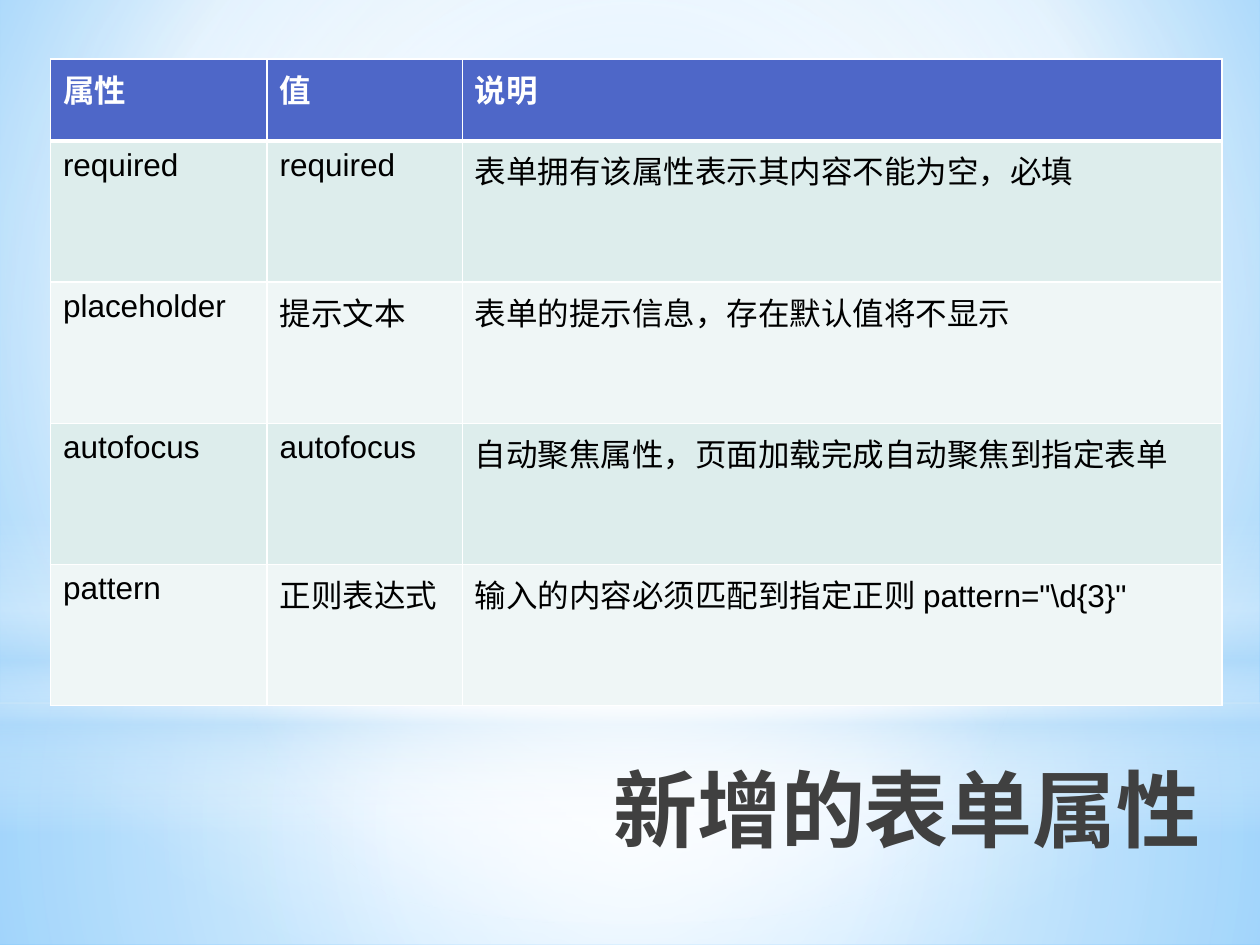
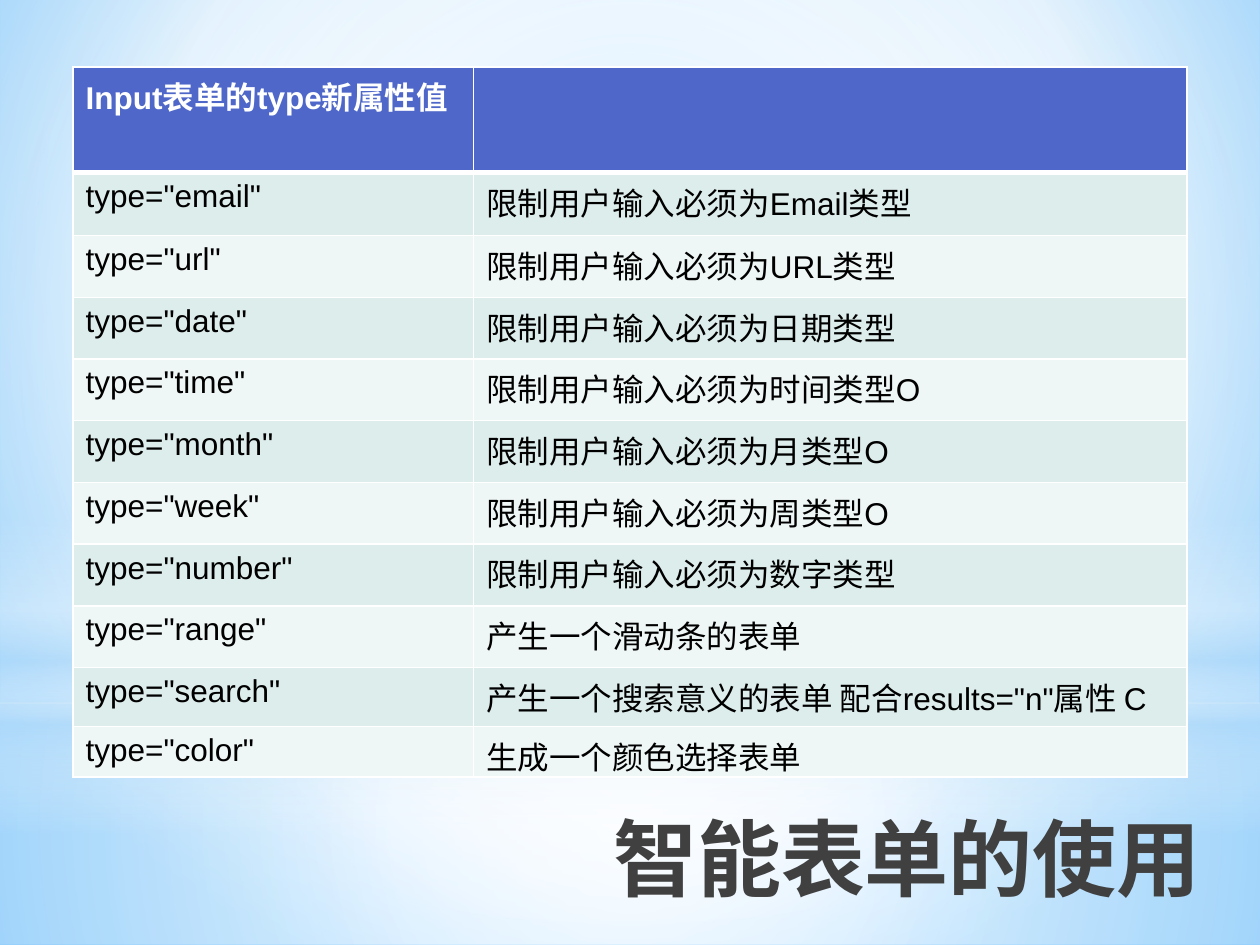
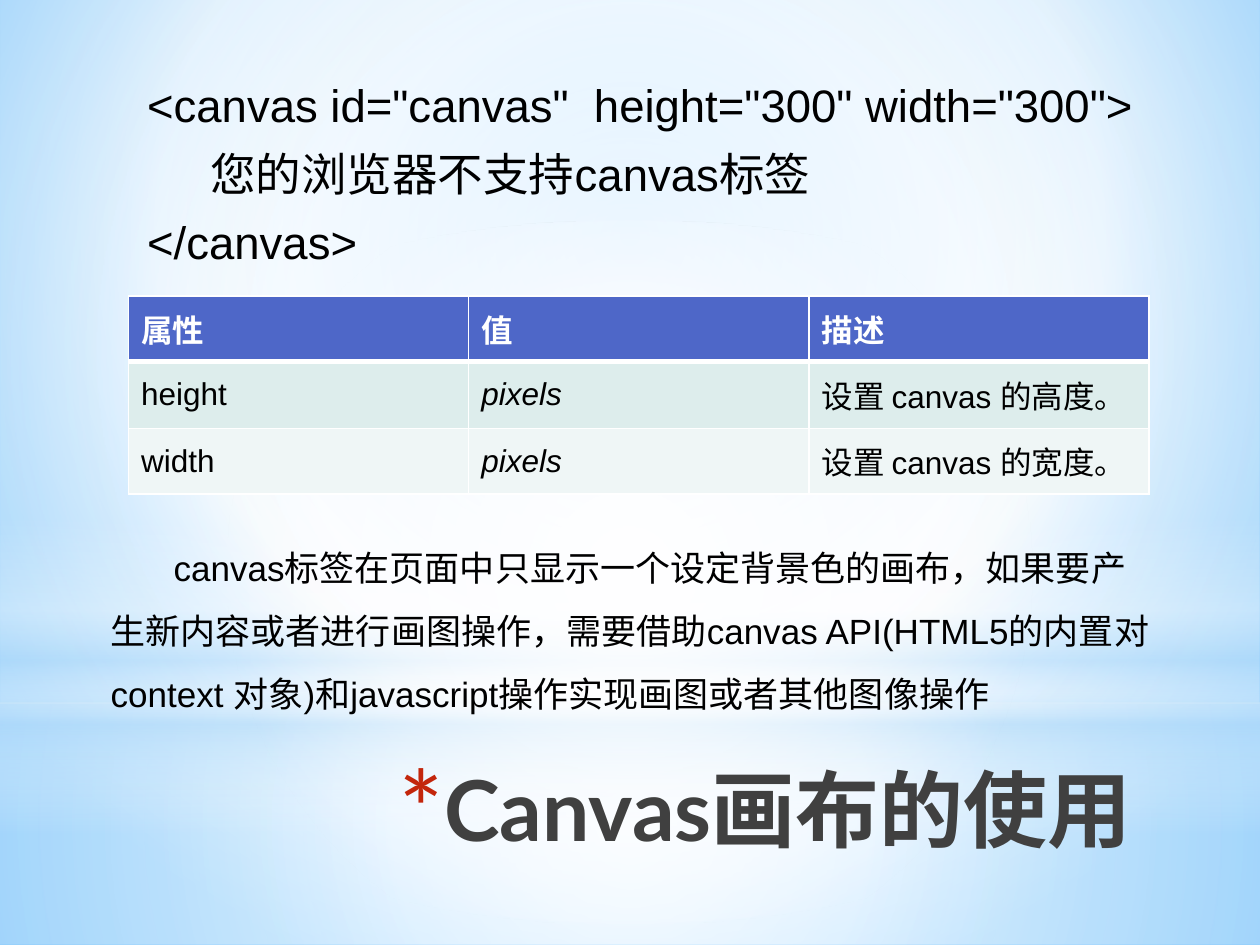
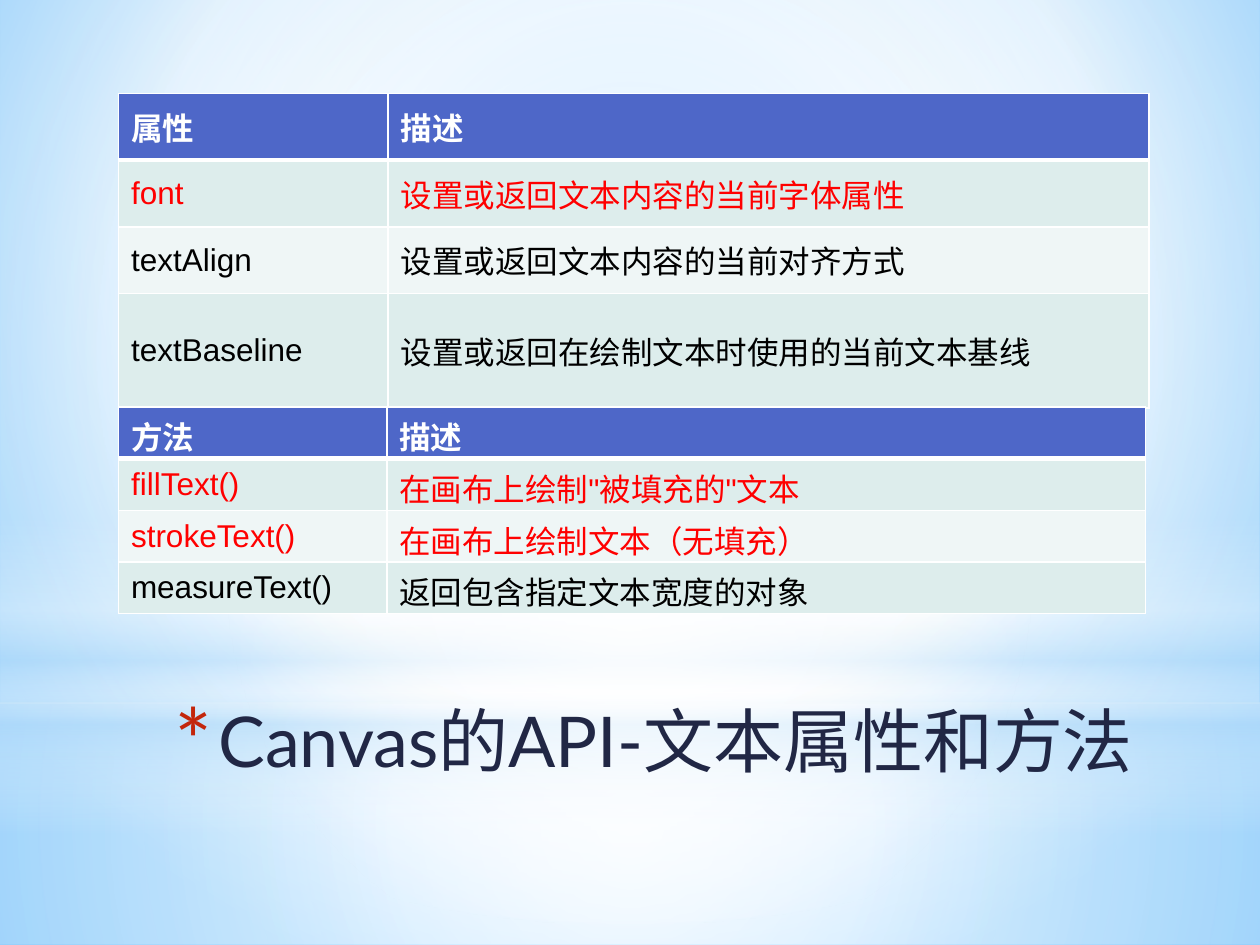
from lxml.etree import SubElement
from pptx import Presentation
from pptx.dml.color import RGBColor
from pptx.enum.shapes import MSO_SHAPE as SHAPE
from pptx.enum.text import MSO_ANCHOR as ANCHOR, MSO_AUTO_SIZE as AUTO, PP_ALIGN as ALIGN
from pptx.oxml import parse_xml
from pptx.oxml.ns import nsdecls, qn
from pptx.util import Inches, Pt

COLORS = {
    "white": "FFFFFF",
    "black": "000000",
    "gray": "404040",
    "navy": "212745",
    "red": "FF0000",
    "bullet": "C3260C",
    "header": "4E67C8",
    "band_dark": "DDEDEC",
    "band_light": "EFF6F6",
    "sky": "9ED5FF",
    "blue": "5BB9FF",
    "haze": "B4DCFA",
}
TITLE_FONT = "Lato"
BODY_FONT = "Arial"
CENTER = (50, 50, 50, 50)

BACKGROUND = [(0, "sky", 100), (60, "white", 100), (100, "blue", 100)]
TITLE_STOPS = [(0, "black", 100), (40, "gray", 100), (100, "navy", 65)]
BANDS = [
    (SHAPE.RECTANGLE, 5.58, 1.92, CENTER,
     [(0, "white", 91), (37, "white", 76), (100, "haze", 79)]),
    (SHAPE.RECTANGLE, 0, 5.58, CENTER,
     [(0, "white", 89), (48, "white", 62), (100, "haze", 79)]),
    (SHAPE.RECTANGLE, 4.12, 2.5, None,
     [(0, "white", 0), (29, "white", 30), (45, "haze", 40),
      (55, "white", 26), (65, "haze", 60), (100, "white", 0)]),
    (SHAPE.OVAL, 1.75, 5.58, CENTER, [(0, "white", 100), (56, "white", 0)]),
]

FORM_ATTRIBUTES = [
    ("属性", "值", "说明"),
    ("required", "required", "表单拥有该属性表示其内容不能为空，必填"),
    ("placeholder", "提示文本", "表单的提示信息，存在默认值将不显示"),
    ("autofocus", "autofocus", "自动聚焦属性，页面加载完成自动聚焦到指定表单"),
    ("pattern", "正则表达式", '输入的内容必须匹配到指定正则 pattern="\\d{3}"'),
]
INPUT_TYPES = [
    ("Input表单的type新属性值", ""),
    ('type="email"', "限制用户输入必须为Email类型"),
    ('type="url"', "限制用户输入必须为URL类型"),
    ('type="date"', "限制用户输入必须为日期类型"),
    ('type="time"', "限制用户输入必须为时间类型O"),
    ('type="month"', "限制用户输入必须为月类型O"),
    ('type="week"', "限制用户输入必须为周类型O"),
    ('type="number"', "限制用户输入必须为数字类型"),
    ('type="range"', "产生一个滑动条的表单"),
    ('type="search"', '产生一个搜索意义的表单 配合results="n"属性 C'),
    ('type="color"', "生成一个颜色选择表单"),
]
CANVAS_ATTRIBUTES = [
    ("属性", "值", "描述"),
    ("height", "pixels", "设置 canvas 的高度。"),
    ("width", "pixels", "设置 canvas 的宽度。"),
]
TEXT_PROPERTIES = [
    ("属性", "描述"),
    ("font", "设置或返回文本内容的当前字体属性"),
    ("textAlign", "设置或返回文本内容的当前对齐方式"),
    ("textBaseline", "设置或返回在绘制文本时使用的当前文本基线"),
]
TEXT_METHODS = [
    ("方法", "描述"),
    ("fillText()", '在画布上绘制"被填充的"文本'),
    ("strokeText()", "在画布上绘制文本（无填充）"),
    ("measureText()", "返回包含指定文本宽度的对象"),
]
CANVAS_CODE = [
    '<canvas id="canvas"  height="300" width="300">',
    "\t您的浏览器不支持canvas标签",
    "</canvas>",
]
CANVAS_NOTE = (
    "canvas标签在页面中只显示一个设定背景色的画布，如果要产生新内容或者进行画图操作，"
    "需要借助canvas API(HTML5的内置对context 对象)和javascript操作实现画图或者其他图像操作"
)


def rgb(name):
    return RGBColor.from_string(COLORS[name])


def set_gradient(element, stops, focus=None):
    gs = "".join(
        f'<a:gs pos="{pos * 1000}"><a:srgbClr val="{COLORS[color]}">'
        f'<a:alpha val="{alpha * 1000}"/></a:srgbClr></a:gs>'
        for pos, color, alpha in stops
    )
    if focus:
        rect = " ".join(f'{side}="{v * 1000}"' for side, v in zip("ltrb", focus))
        shade = f'<a:path path="circle"><a:fillToRect {rect}/></a:path>'
    else:
        shade = '<a:lin ang="5400000" scaled="0"/>'
    grad = parse_xml(
        f'<a:gradFill {nsdecls("a")} rotWithShape="1"><a:gsLst>{gs}</a:gsLst>{shade}</a:gradFill>'
    )
    old = next(element.iter(qn("a:solidFill")))
    old.getparent().replace(old, grad)


def add_backdrop(slide):
    slide.background.fill.solid()
    slide.background.fill.fore_color.rgb = rgb("white")
    set_gradient(slide.element, BACKGROUND, (20, 10, 20, 60))
    for kind, top, height, focus, stops in BANDS:
        sp = slide.shapes.add_shape(kind, 0, Inches(top), Inches(10), Inches(height))
        sp.shadow.inherit = False
        sp.line.fill.background()
        sp.fill.solid()
        sp.fill.fore_color.rgb = rgb("white")
        set_gradient(sp.element, stops, focus)


def style_run(r, size, color, font=BODY_FONT, bold=False, italic=False):
    f = r.font
    f.size, f.name, f.bold, f.italic = Pt(size), font, bold, italic
    f.color.rgb = rgb(color)


def add_text(slide, box, lines, size, color, font=BODY_FONT, bold=False):
    sp = slide.shapes.add_textbox(*map(Inches, box))
    tf = sp.text_frame
    tf.word_wrap = True
    tf.text = "\n".join(lines)
    for p in tf.paragraphs:
        for r in p.runs:
            style_run(r, size, color, font, bold)
    for latin in list(sp.element.iter(qn("a:latin"))):
        ea = parse_xml(f'<a:ea {nsdecls("a")} typeface="{TITLE_FONT}"/>')
        latin.addnext(ea)
    return sp


def set_indent(sp, left, first):
    for pPr in sp.element.iter(qn("a:pPr")):
        pPr.set("marL", str(Inches(left)))
        pPr.set("indent", str(Inches(first)))


def add_star(sp):
    set_indent(sp, 0.35, -0.35)
    pPr = next(sp.element.iter(qn("a:pPr")))
    clr = SubElement(pPr, qn("a:buClr"))
    SubElement(clr, qn("a:srgbClr"), val=COLORS["bullet"])
    SubElement(pPr, qn("a:buSzPct"), val="128000")
    SubElement(pPr, qn("a:buFont"), typeface=TITLE_FONT)
    SubElement(pPr, qn("a:buChar"), char="*")


def add_title(slide, box, text, star=False, size=48, bold=True):
    sp = add_text(slide, box, [text], size, "navy", TITLE_FONT, bold)
    sp.text_frame.paragraphs[0].alignment = ALIGN.RIGHT
    if bold:
        set_gradient(sp.element, TITLE_STOPS)
    if star:
        add_star(sp)


def set_borders(tc, row):
    tcPr = tc.get_or_add_tcPr()
    widths = {"L": 1, "R": 1, "T": 3 if row == 1 else 1, "B": 3 if row == 0 else 1}
    for i, (side, width) in enumerate(widths.items()):
        ln = parse_xml(
            f'<a:ln{side} {nsdecls("a")} w="{Pt(width)}"><a:solidFill>'
            f'<a:srgbClr val="{COLORS["white"]}"/></a:solidFill></a:ln{side}>'
        )
        tcPr.insert(i, ln)


def add_grid(slide, left, top, cols, heights, rows, anchor=ANCHOR.MIDDLE,
             red_rows=(), italic_col=None):
    frame = slide.shapes.add_table(
        len(rows), len(cols), Inches(left), Inches(top),
        Inches(sum(cols)), Inches(sum(heights)))
    table = frame.table
    table.horz_banding = False
    for col, width in zip(table.columns, cols):
        col.width = Inches(width)
    for i, (row, height) in enumerate(zip(table.rows, heights)):
        row.height = Inches(height)
        band = "header" if i == 0 else ("band_light", "band_dark")[i % 2]
        color = "white" if i == 0 else "red" if i in red_rows else "black"
        for j, cell in enumerate(row.cells):
            cell.text = rows[i][j]
            cell.vertical_anchor = anchor
            cell.fill.solid()
            cell.fill.fore_color.rgb = rgb(band)
            for r in cell.text_frame.paragraphs[0].runs:
                style_run(r, 18, color, bold=i == 0, italic=i > 0 and j == italic_col)
    for i, tr in enumerate(frame.element.iter(qn("a:tr"))):
        for tc in tr.iter(qn("a:tc")):
            set_borders(tc, i)


def add_code(slide, box):
    sp = add_text(slide, box, CANVAS_CODE, 26, "black")
    for p in sp.text_frame.paragraphs:
        p.space_before, p.space_after = Pt(5.2), Pt(3)
    set_indent(sp, 0.05, 0)


def add_note(slide, box):
    sp = add_text(slide, box, [CANVAS_NOTE], 20, "black")
    sp.text_frame.auto_size = AUTO.SHAPE_TO_FIT_TEXT
    sp.text_frame.paragraphs[0].line_spacing = 1.5
    set_indent(sp, 0, 0.5)


def form_attributes(slide):
    add_title(slide, (2.51, 5.96, 7.12, 1.25), "新增的表单属性")
    add_grid(slide, 0.4, 0.47, [1.72, 1.55, 6.03], [0.65] + [1.12] * 4,
             FORM_ATTRIBUTES, ANCHOR.TOP)


def input_types(slide):
    add_title(slide, (2.51, 6.35, 7.12, 1.25), "智能表单的使用")
    add_grid(slide, 0.58, 0.53, [3.18, 5.66], [0.84, 0.5] + [0.49] * 7 + [0.47, 0.37],
             INPUT_TYPES, ANCHOR.TOP)


def canvas_usage(slide):
    add_title(slide, (1.96, 5.96, 7.12, 1.25), "Canvas画布的使用", star=True)
    add_code(slide, (1.02, 0.56, 8.77, 3.8))
    add_grid(slide, 1.02, 2.35, [2.7] * 3, [0.52, 0.53, 0.52],
             CANVAS_ATTRIBUTES, italic_col=1)
    add_note(slide, (0.78, 4.12, 8.47, 1.6))


def canvas_text(slide):
    add_title(slide, (1.16, 5.49, 7.93, 1.25), "Canvas的API-文本属性和方法",
              star=True, size=40, bold=False)
    add_grid(slide, 0.94, 0.74, [2.14, 6.04], [0.53] * 3 + [0.91],
             TEXT_PROPERTIES, red_rows=(1,))
    add_grid(slide, 0.94, 3.23, [2.13, 6.02], [0.41] * 4,
             TEXT_METHODS, red_rows=(1, 2))


def main():
    prs = Presentation()
    prs.slide_width, prs.slide_height = Inches(10), Inches(7.5)
    for build in (form_attributes, input_types, canvas_usage, canvas_text):
        s = prs.slides.add_slide(prs.slide_layouts[6])
        add_backdrop(s)
        build(s)
    prs.save("out.pptx")


if __name__ == "__main__":
    main()
